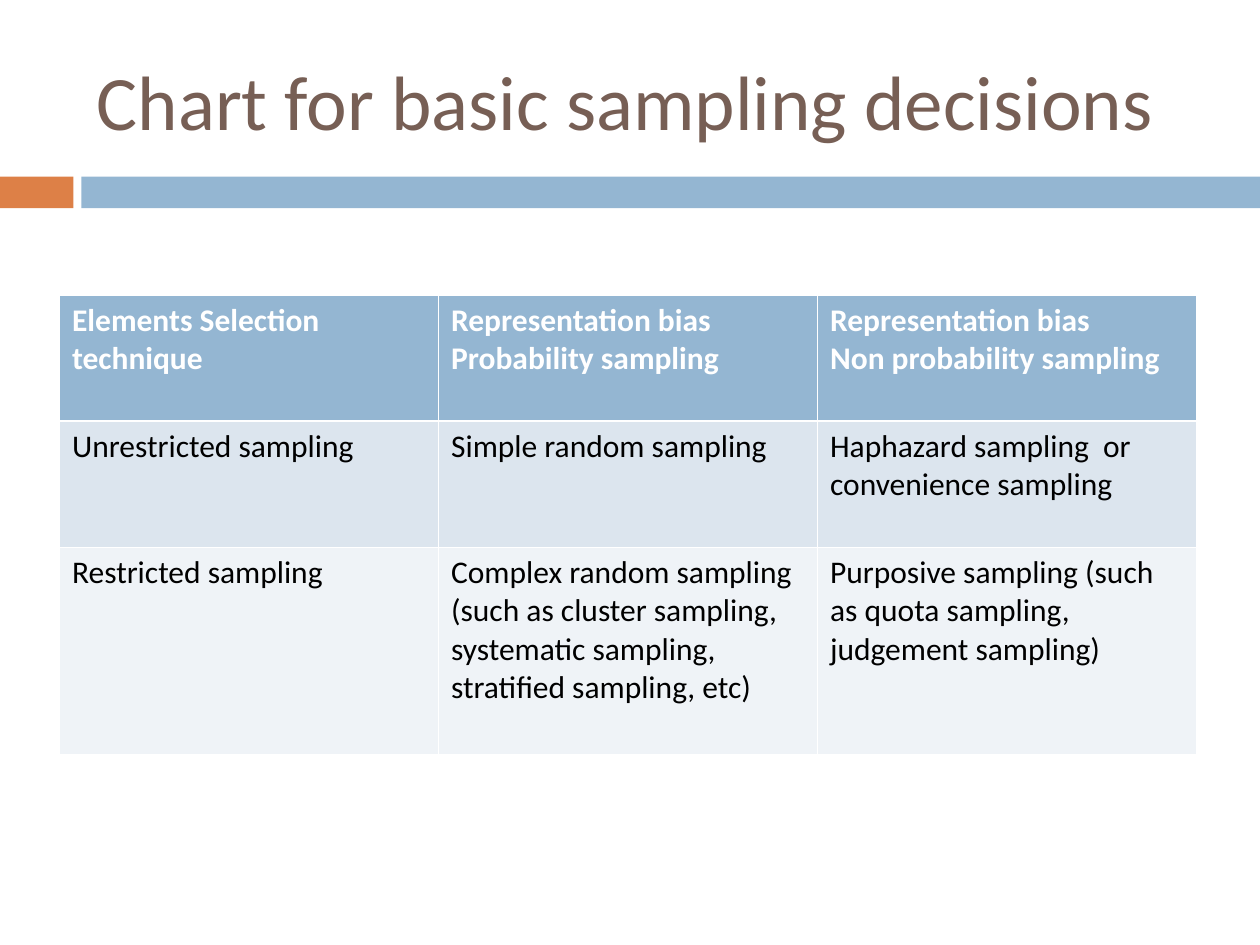
from lxml.etree import SubElement
from pptx import Presentation
from pptx.dml.color import RGBColor
from pptx.enum.shapes import MSO_SHAPE
from pptx.enum.text import MSO_ANCHOR
from pptx.oxml.ns import qn
from pptx.util import Cm, Pt

COLORS = {
    "title": "775F55",
    "accent": "DD8047",
    "band": "94B6D2",
    "row_dark": "DCE5EE",
    "row_light": "EFF3F7",
    "white": "FFFFFF",
    "text": "000000",
}
ROWS = [
    ["Elements Selection technique",
     "Representation bias\nProbability sampling",
     "Representation bias\nNon probability sampling"],
    ["Unrestricted sampling",
     "Simple random sampling",
     "Haphazard sampling  or convenience sampling"],
    ["Restricted sampling",
     "Complex random sampling (such as cluster sampling, systematic sampling, "
     "stratified sampling, etc)",
     "Purposive sampling (such as quota sampling, judgement sampling)"],
]
ROW_HEIGHTS = [2.54, 2.54, 4.17]
ROW_FILLS = ["band", "row_dark", "row_light"]
THIN, THICK = 0.45, 1.47


def rgb(name):
    return RGBColor.from_string(COLORS[name])


def write(tf, text, size=18, color="text", bold=False, font="Calibri"):
    for i, line in enumerate(text.split("\n")):
        p = tf.add_paragraph() if i else tf.paragraphs[0]
        r = p.add_run()
        r.text = line
        r.font.name = font
        r.font.size = Pt(size)
        r.font.bold = bold
        r.font.color.rgb = rgb(color)


class SlideBuilder:
    """Draws styled elements on the current slide."""

    def __init__(self, s):
        self.s = s

    def bar(self, left, width, color):
        sp = self.s.shapes.add_shape(
            MSO_SHAPE.RECTANGLE, Cm(left), Cm(3.56), Cm(width), Cm(0.64))
        sp.shadow.inherit = False
        sp.fill.solid()
        sp.fill.fore_color.rgb = rgb(color)
        sp.line.fill.background()

    def title(self, text):
        sp = self.s.shapes.add_textbox(Cm(1.7), Cm(0.64), Cm(22.66), Cm(2.74))
        tf = sp.text_frame
        tf.word_wrap = True
        tf.vertical_anchor = MSO_ANCHOR.MIDDLE
        write(tf, text, size=44, color="title")

    def border(self, cell, side, width):
        ln = SubElement(cell._tc.get_or_add_tcPr(), qn(f"a:ln{side}"), w=str(Pt(width)))
        fill = SubElement(ln, qn("a:solidFill"))
        SubElement(fill, qn("a:srgbClr"), val=COLORS["white"])

    def table(self, rows, left, top, col_width):
        cols = len(rows[0])
        table = self.s.shapes.add_table(
            len(rows), cols, Cm(left), Cm(top),
            Cm(col_width * cols), Cm(sum(ROW_HEIGHTS))).table
        for col in table.columns:
            col.width = Cm(col_width)
        for i, texts in enumerate(rows):
            table.rows[i].height = Cm(ROW_HEIGHTS[i])
            header = i == 0
            widths = {"L": THIN, "R": THIN,
                      "T": THICK if i == 1 else THIN,
                      "B": THICK if header else THIN}
            for j, text in enumerate(texts):
                cell = table.cell(i, j)
                for side, width in widths.items():
                    self.border(cell, side, width)
                cell.fill.solid()
                cell.fill.fore_color.rgb = rgb(ROW_FILLS[i])
                write(cell.text_frame, text, bold=header,
                      color="white" if header else "text")


def main():
    prs = Presentation()
    prs.slide_width, prs.slide_height = Cm(25.4), Cm(19.05)
    slide = SlideBuilder(prs.slides.add_slide(prs.slide_layouts[6]))
    slide.bar(0, 1.48, "accent")
    slide.bar(1.64, 23.76, "band")
    slide.title("Chart for basic sampling decisions")
    slide.table(ROWS, 1.2, 5.95, 7.64)
    prs.save("out.pptx")


if __name__ == "__main__":
    main()
